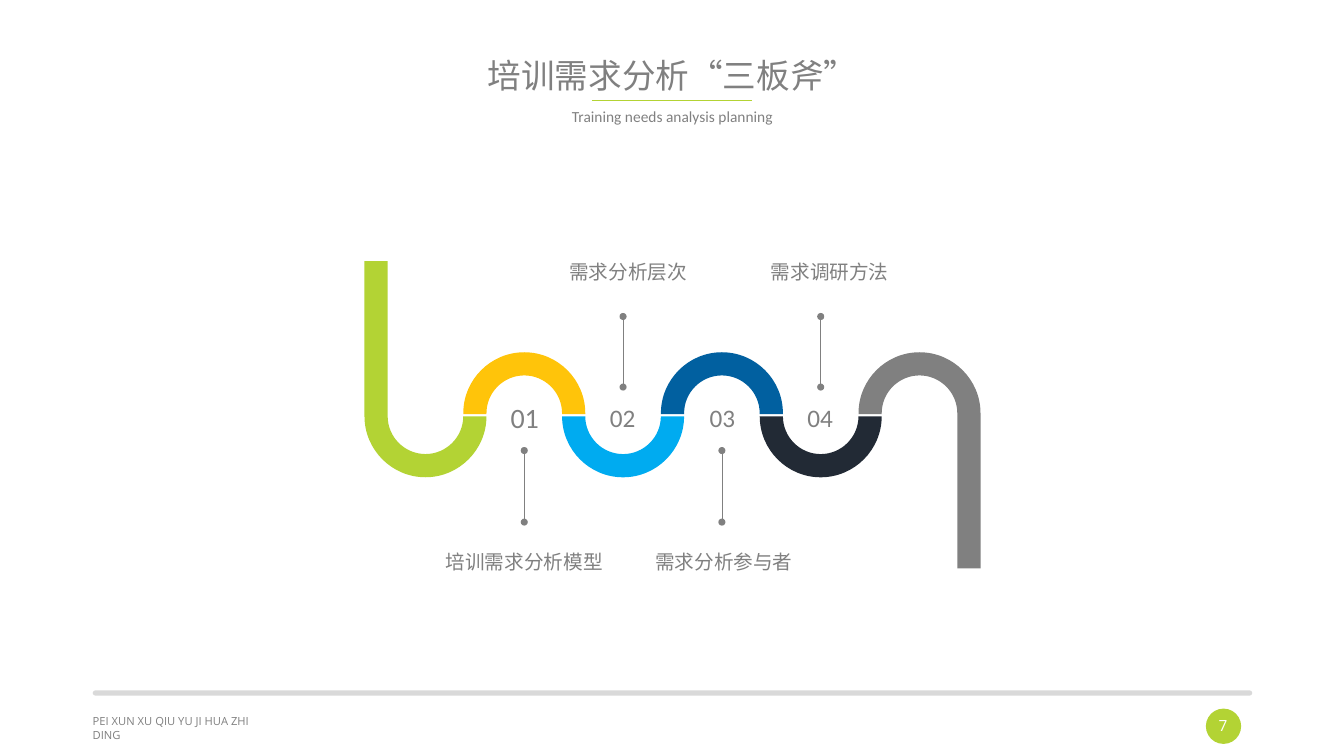
from lxml.etree import SubElement
from pptx import Presentation
from pptx.dml.color import RGBColor
from pptx.enum.shapes import MSO_CONNECTOR, MSO_SHAPE
from pptx.enum.text import MSO_ANCHOR, PP_ALIGN
from pptx.oxml.ns import qn
from pptx.util import Inches, Pt

SLIDE_WIDTH, SLIDE_HEIGHT = 13.33, 7.5
MARGIN, CONTENT_WIDTH = 0.92, 11.5
GRAY, GREEN, WHITE, SILVER = "808080", "B3D334", "FFFFFF", "D9D9D9"

FIRST_COLUMN, COLUMN_STEP = 4.22, 0.98
OUTER_RADIUS, INNER_RADIUS = 1.21 / 2, 0.75 / 2
QUARTER_HANDLE = 0.55
ARCH_CENTRE, ARCH_FOOT = 4.1, 4.11
BOWL_CENTRE = 4.13
TRACK_TOP, TRACK_BOTTOM = 2.59, 5.64

LABEL_SIZE, LABEL_HEIGHT, LABEL_PADDING = 14, 0.34, 0.22
DOT_SIZE = 0.07
UPPER_ROW = (3.14, 3.84, 2.53)
LOWER_ROW = (4.47, 5.18, 5.41)

MIDDLE_CURVES = [(1, "FFC40A"), (2, "00ABF0"), (3, "0160A0"), (4, "222A35")]
STOPS = [
    (1, "01", 20, 0.01, "培训需求分析模型", 0.01, LOWER_ROW),
    (2, "02", 18, 0, "需求分析层次", 0.06, UPPER_ROW),
    (3, "03", 18, 0.01, "需求分析参与者", 0.03, LOWER_ROW),
    (4, "04", 18, 0, "需求调研方法", 0.1, UPPER_ROW),
]


def color(value):
    return RGBColor.from_string(value)


def column(index):
    return FIRST_COLUMN + COLUMN_STEP * index


def paint(shape, fill):
    shape.shadow.inherit = False
    shape.fill.solid()
    shape.fill.fore_color.rgb = color(fill)
    shape.line.fill.background()


def add_preset(shapes, kind, left, top, width, height, fill):
    shape = shapes.add_shape(
        kind, Inches(left), Inches(top), Inches(width), Inches(height))
    paint(shape, fill)
    return shape


def add_rule(shapes, start, end, stroke):
    rule = shapes.add_connector(
        MSO_CONNECTOR.STRAIGHT, *(Inches(value) for value in start + end))
    rule.line.color.rgb = color(stroke)
    rule.line.width = Pt(0.5)
    SubElement(rule._element.spPr, qn("a:effectLst"))


def add_text(shapes, left, top, width, height, text, size, fill=GRAY,
             font="Calibri", align=PP_ALIGN.LEFT, anchor=MSO_ANCHOR.TOP,
             wrap=False, spacing=1.0):
    box = shapes.add_textbox(
        Inches(left), Inches(top), Inches(width), Inches(height))
    frame = box.text_frame
    frame.word_wrap = wrap
    frame.vertical_anchor = anchor
    para = frame.paragraphs[0]
    para.alignment = align
    para.line_spacing = spacing
    span = para.add_run()
    span.text = text
    span.font.size = Pt(size)
    span.font.name = font
    span.font.color.rgb = color(fill)


def half_ring(middle, centre, radius, depth):
    handle = radius * QUARTER_HANDLE
    crest = centre + depth * radius
    shoulder = centre + depth * handle
    return [
        (middle - radius, shoulder), (middle - handle, crest), (middle, crest),
        (middle + handle, crest), (middle + radius, shoulder),
        (middle + radius, centre),
    ]


def straight(start, end):
    return [start, end, end]


def bend_segments(shape):
    for outline in shape._element.iter(qn("a:path")):
        segments = outline.findall(qn("a:lnTo"))
        for first in range(0, len(segments), 3):
            bend = SubElement(outline, qn("a:cubicBezTo"))
            segments[first].addprevious(bend)
            for segment in segments[first:first + 3]:
                bend.append(segment[0])
                outline.remove(segment)


def add_curve(shapes, index, fill, left_end=None, right_end=None):
    rises = index % 2 == 1
    centre = ARCH_CENTRE if rises else BOWL_CENTRE
    foot = ARCH_FOOT if rises else BOWL_CENTRE
    left_end = left_end or foot
    right_end = right_end or foot
    depth = -1 if rises else 1
    middle = column(index)
    outer_left, outer_right = middle - OUTER_RADIUS, middle + OUTER_RADIUS
    inner_left, inner_right = middle - INNER_RADIUS, middle + INNER_RADIUS
    inner_ring = half_ring(middle, centre, INNER_RADIUS, depth)
    outline = [
        (outer_left, left_end),
        *straight((outer_left, left_end), (outer_left, centre)),
        *half_ring(middle, centre, OUTER_RADIUS, depth),
        *straight((outer_right, centre), (outer_right, right_end)),
        *straight((outer_right, right_end), (inner_right, right_end)),
        *straight((inner_right, right_end), (inner_right, centre)),
        *reversed(inner_ring[:-1]), (inner_left, centre),
        *straight((inner_left, centre), (inner_left, left_end)),
    ]
    points = [(Inches(x), Inches(y)) for x, y in outline]
    builder = shapes.build_freeform(*points[0], scale=1.0)
    builder.add_line_segments(points[1:], close=True)
    shape = builder.convert_to_shape()
    bend_segments(shape)
    paint(shape, fill)


def add_pin(shapes, index, label, shift, row):
    line_top, line_bottom, label_top = row
    middle = column(index)
    add_rule(shapes, (middle, line_top), (middle, line_bottom), GRAY)
    for height in (line_top, line_bottom):
        add_preset(shapes, MSO_SHAPE.OVAL, middle - DOT_SIZE / 2,
                   height - DOT_SIZE / 2, DOT_SIZE, DOT_SIZE, GRAY)
    width = len(label) * LABEL_SIZE / 72 + LABEL_PADDING
    add_text(shapes, middle + shift - width / 2, label_top, width,
             LABEL_HEIGHT, label, LABEL_SIZE)


def add_number(shapes, index, number, size, shift):
    width, height = (0.49, 0.44) if size == 20 else (0.46, 0.4)
    add_text(shapes, column(index) + shift - width / 2, 4.14 - height / 2,
             width, height, number, size)


def add_header(shapes):
    add_rule(shapes, (5.87, 1.0), (7.46, 1.0), GREEN)
    add_text(shapes, MARGIN, 0.34, CONTENT_WIDTH, 0.86,
             "培训需求分析“三板斧”", 24, align=PP_ALIGN.CENTER,
             anchor=MSO_ANCHOR.MIDDLE, wrap=True, spacing=0.9)
    add_text(shapes, MARGIN, 1.03, CONTENT_WIDTH, 0.58,
             "Training needs analysis planning", 11,
             align=PP_ALIGN.CENTER, wrap=True, spacing=0.9)


def add_footer(shapes):
    bar = add_preset(shapes, MSO_SHAPE.ROUNDED_RECTANGLE,
                     MARGIN, 6.85, CONTENT_WIDTH, 0.05, SILVER)
    bar.adjustments[0] = 0.5
    add_preset(shapes, MSO_SHAPE.OVAL, 11.96, 7.03, 0.35, 0.35, GREEN)
    add_text(shapes, 0.82, 7.04, 1.78, 0.24,
             "PEI XUN XU QIU YU JI HUA ZHI DING", 8, font="Open Sans", wrap=True)
    add_text(shapes, 11.94, 7.06, 0.38, 0.29, "7", 11, WHITE, "Open Sans",
             PP_ALIGN.CENTER)


def main():
    deck = Presentation()
    deck.slide_width, deck.slide_height = Inches(SLIDE_WIDTH), Inches(SLIDE_HEIGHT)
    page = deck.slides.add_slide(deck.slide_layouts[6])
    shapes = page.shapes
    add_footer(shapes)
    add_header(shapes)
    add_curve(shapes, 5, GRAY, right_end=TRACK_BOTTOM)
    track = shapes.add_group_shape().shapes
    for index, fill in MIDDLE_CURVES:
        add_curve(track, index, fill)
    add_curve(shapes, 0, GREEN, left_end=TRACK_TOP)
    for index, number, size, number_shift, label, label_shift, row in STOPS:
        add_number(shapes, index, number, size, number_shift)
        add_pin(shapes.add_group_shape().shapes, index, label, label_shift, row)
    deck.save("out.pptx")


if __name__ == "__main__":
    main()
